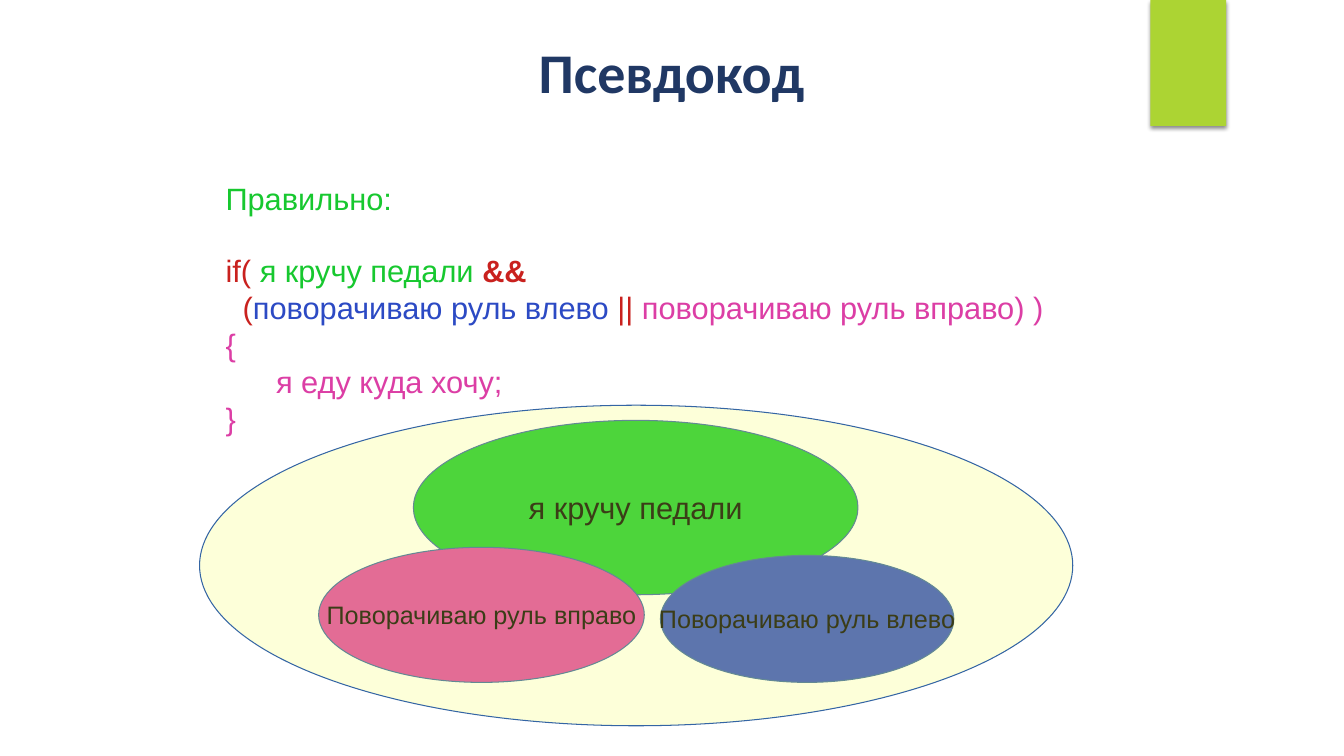
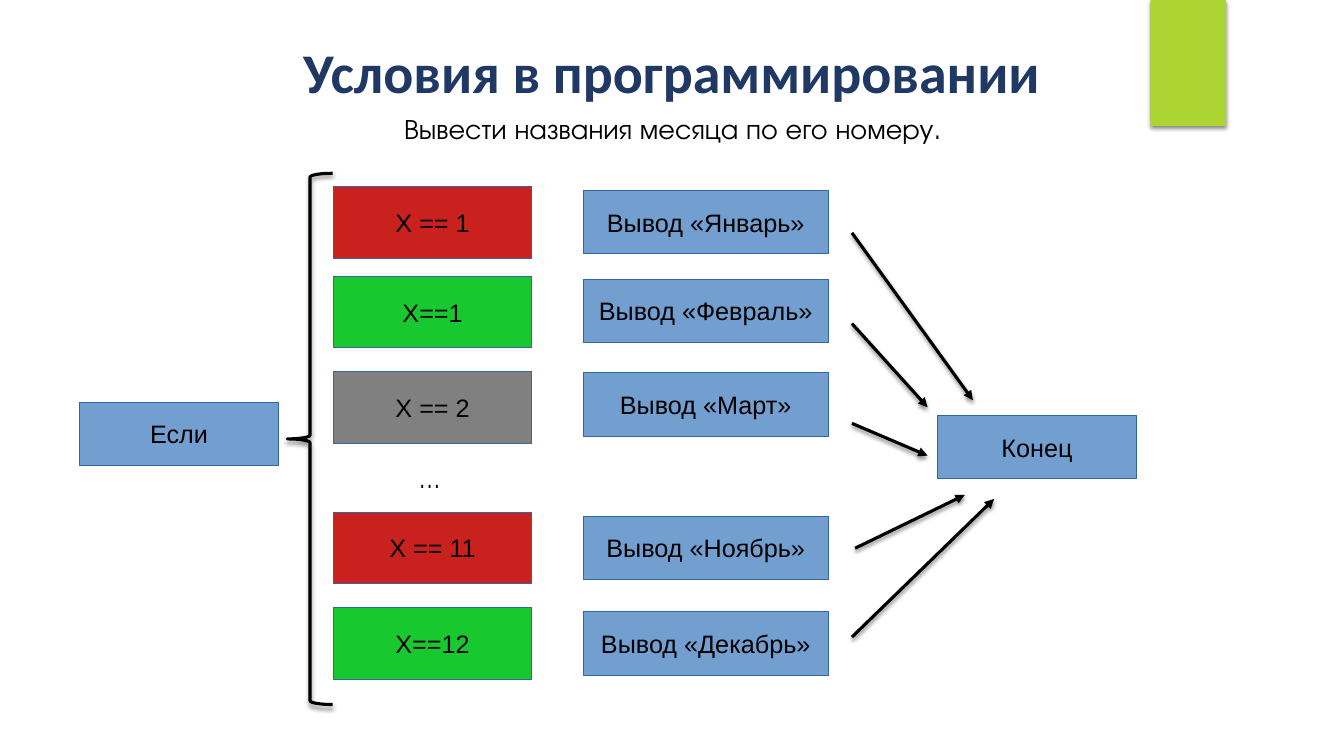
import pptx
import pptx.util
import pptx.dml.color
import pptx.enum.shapes
import pptx.enum.text
import pptx.oxml.ns
from lxml import etree

SHAPE = pptx.enum.shapes.MSO_SHAPE
ALIGN = pptx.enum.text.PP_ALIGN
ANCHOR = pptx.enum.text.MSO_ANCHOR
qn = pptx.oxml.ns.qn

NAVY, LIME, BLACK, OUTLINE = "203864", "ACD433", "000000", "3465A4"
RED, GREEN, BLUE, PINK = "C9211E", "17C82F", "2C4AC4", "DC3EA5"
STEEL, GRAY, YELLOW = "729FCF", "808080", "FAFF64"

TITLE = {"name": "Calibri", "size": pptx.util.Pt(40), "bold": True}
CODE = {"name": "Arial", "size": pptx.util.Pt(22)}
LABEL = {"name": "Arial", "size": pptx.util.Pt(18)}
SUBTITLE = {"name": "TeX Gyre Adventor", "size": pptx.util.Pt(20)}
DOTS = {"name": "TeX Gyre Adventor", "size": pptx.util.Pt(18)}

deck = pptx.Presentation()
deck.slide_width = pptx.util.Inches(13.33)
deck.slide_height = pptx.util.Inches(7.5)
column, row = deck.slide_width / 100, deck.slide_height / 100


def paint(target, color):
    if color is None:
        target.background()
    else:
        target.solid()
        target.fore_color.rgb = pptx.dml.color.RGBColor.from_string(color)


def add_box(page, kind, at, lines=(), style=LABEL, fill=None, line=OUTLINE, wrap=False, align=ALIGN.CENTER):
    left, top, width, height = at
    frame = [int(left * column), int(top * row), int(width * column), int(height * row)]
    if kind is None:
        box = page.shapes.add_textbox(*frame)
    else:
        box = page.shapes.add_shape(kind, *frame)
        box.shadow.inherit = False
        paint(box.fill, fill)
        paint(box.line.fill, line)
        box.line.width = pptx.util.Pt(0.75)
    text = box.text_frame
    text.word_wrap = wrap
    text.vertical_anchor = ANCHOR.TOP if kind is None else ANCHOR.MIDDLE
    for number, spans in enumerate(lines):
        para = text.add_paragraph() if number else text.paragraphs[0]
        para.alignment = align
        for words, color, *extra in spans:
            span = para.add_run()
            span.text = words
            for name, value in {**style, **dict(*extra)}.items():
                setattr(span.font, name, value)
            paint(span.font.fill, color)
    return box


pages, shadowed = [], []
for heading in ["Псевдокод", "Условия в программировании"]:
    page = deck.slides.add_slide(deck.slide_layouts[6])
    pages.append(page)
    shadowed.append(add_box(page, SHAPE.RECTANGLE, (85.6, 0, 5.63, 16.67), fill=LIME, line=None))
    title = add_box(page, None, (17.63, 4.4, 64.67, 11.07), [[(heading, NAVY)]], TITLE, wrap=True)
    title.text_frame.vertical_anchor = ANCHOR.MIDDLE
    title.text_frame.paragraphs[0].line_spacing = 0.9
pseudocode, conditions = pages

code_lines = [
    [("Правильно:", GREEN)],
    [("if( ", RED), ("я кручу педали ", GREEN), ("&&", RED, {"bold": True})],
    [("  (", RED), ("поворачиваю руль влево ", BLUE), ("|| ", RED), ("поворачиваю руль вправо) )", PINK)],
    [("{", PINK)],
    [("я еду куда хочу;", PINK)],
    [("}", PINK)],
]
code = add_box(pseudocode, None, (16.05, 23.07, 69.69, 37.73), code_lines, CODE, wrap=True, align=ALIGN.LEFT)
code.text_frame.paragraphs[0].space_after = pptx.util.Pt(25.5)
indented = code.text_frame.paragraphs[4]._p.get_or_add_pPr()
indented.set("marL", str(pptx.util.Inches(0.5)))
indented.set("indent", "0")

for words, at, fill, style in [
    ("я кручу педали", (30.76, 55.6, 33.08, 23.07), GREEN, CODE),
    ("Поворачиваю руль влево", (49.14, 73.47, 21.83, 16.8), BLUE, LABEL),
    ("Поворачиваю руль вправо", (23.71, 72.4, 24.23, 17.87), PINK, LABEL),
]:
    add_box(pseudocode, SHAPE.OVAL, at, [[(words, BLACK)]], style, fill)
universe = add_box(pseudocode, SHAPE.OVAL, (14.85, 53.6, 64.97, 42.4), fill=YELLOW)
tint = universe.element.spPr.find(qn("a:solidFill"))[0]
etree.SubElement(tint, qn("a:alpha"), val="24000")

add_box(conditions, None, (29.33, 14.13, 56.34, 8.8),
        [[("Вывести названия месяца по его номеру.", BLACK)]], SUBTITLE, wrap=True, align=ALIGN.LEFT)
for words, left, top in [("Если", 5.93, 53.2), ("Конец", 69.77, 54.93)]:
    add_box(conditions, SHAPE.RECTANGLE, (left, top, 14.78, 8.4), [[(words, BLACK)]], fill=STEEL)

for test, color, test_top, month, month_top in [
    ("X == 1", RED, 24.67, "Январь", 25.2),
    ("X==1", GREEN, 36.53, "Февраль", 36.93),
    ("X == 2", GRAY, 49.2, "Март", 49.33),
    ("X == 11", RED, 67.73, "Ноябрь", 68.27),
    ("X==12", GREEN, 80.4, "Декабрь", 80.93),
]:
    add_box(conditions, SHAPE.RECTANGLE, (24.8, test_top, 14.78, 9.47), [[(test, BLACK)]], fill=color)
    add_box(conditions, SHAPE.RECTANGLE, (43.4, month_top, 18.23, 8.4), [[(f"Вывод «{month}»", BLACK)]], fill=STEEL)
add_box(conditions, None, (30.46, 60.67, 3.38, 5.33), [[("…", BLACK)]], DOTS, align=ALIGN.LEFT)

brace = add_box(conditions, SHAPE.LEFT_BRACE, (21.38, 22.93, 3.38, 70.27), line=BLACK)
brace.line.width = pptx.util.Pt(2.25)
shadowed.append(brace)

for start_x, start_y, end_x, end_y in [
    (63.39, 30.8, 72.39, 52.93),
    (63.39, 42.8, 69.02, 53.87),
    (63.39, 56, 69.02, 60.27),
    (63.62, 72.53, 71.79, 65.47),
    (63.39, 84.27, 73.97, 66),
]:
    arrow = conditions.shapes.add_connector(
        pptx.enum.shapes.MSO_CONNECTOR.STRAIGHT,
        int(start_x * column), int(start_y * row), int(end_x * column), int(end_y * row))
    paint(arrow.line.fill, BLACK)
    arrow.line.width = pptx.util.Pt(2.25)
    etree.SubElement(arrow.element.spPr.find(qn("a:ln")), qn("a:tailEnd"), type="triangle")
    etree.SubElement(arrow.element.spPr, qn("a:effectLst"))
    shadowed.append(arrow)

for item in shadowed:
    effects = item.element.spPr.find(qn("a:effectLst"))
    shadow = etree.SubElement(effects, qn("a:outerShdw"), blurRad=str(pptx.util.Pt(3)),
                              dist=str(pptx.util.Pt(2)), dir="5400000", rotWithShape="0")
    shade = etree.SubElement(shadow, qn("a:srgbClr"), val=BLACK)
    etree.SubElement(shade, qn("a:alpha"), val="45000")

deck.save("out.pptx")
